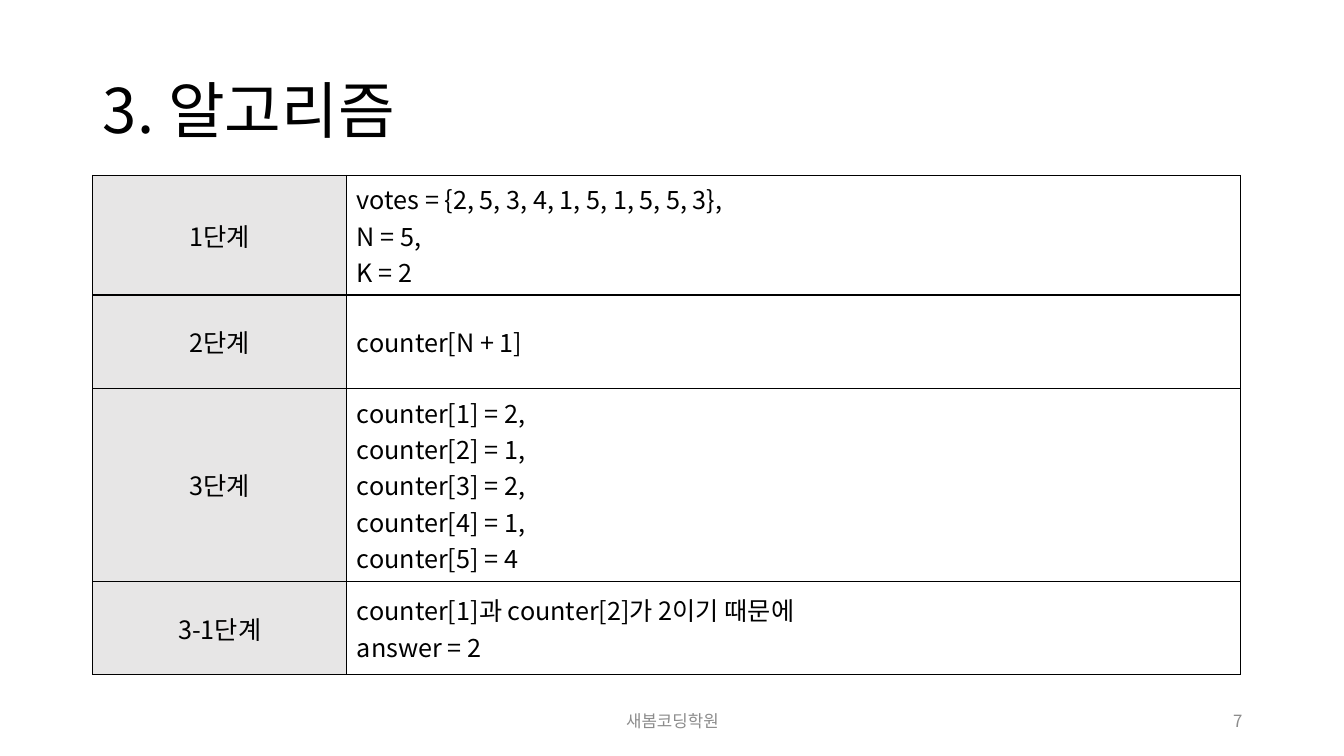
"""Build the algorithm steps slide."""
from dataclasses import dataclass

from lxml.etree import SubElement
from pptx import Presentation
from pptx.dml.color import RGBColor
from pptx.enum.text import MSO_ANCHOR, MSO_AUTO_SIZE, PP_ALIGN
from pptx.oxml.ns import qn
from pptx.util import Inches, Pt

FONT = "Noto Sans CJK KR"
BLACK, GRAY, LABEL_FILL = "000000", "8C8C8C", "E7E6E6"


@dataclass
class Step:
    label: str
    lines: list[str]
    height: float


@dataclass
class Note:
    text: str
    left: float
    width: float
    align: PP_ALIGN


STEPS = [
    Step("1단계", ["votes = {2, 5, 3, 4, 1, 5, 1, 5, 5, 3},", "N = 5,", "K = 2"], 0.8),
    Step("2단계", ["counter[N + 1]"], 0.93),
    Step("3단계", [f"counter[{i}] = {n}" + ("," if i < 5 else "")
                 for i, n in enumerate([2, 1, 2, 1, 4], 1)], 0.93),
    Step("3-1단계", ["counter[1]과 counter[2]가 2이기 때문에", "answer = 2"], 0.93),
]
NOTES = [
    Note("새봄코딩학원", 4.42, 4.5, PP_ALIGN.CENTER),
    Note("7", 9.42, 3, PP_ALIGN.RIGHT),
]
COLUMNS = [2.52, 8.86]


def rgb(color: str) -> RGBColor:
    return RGBColor.from_string(color)


def apply(target, values: dict) -> None:
    for name, value in values.items():
        setattr(target, name, value)


def write(tf, lines: list[str], size: float, color: str = BLACK,
          align: PP_ALIGN = PP_ALIGN.LEFT, spacing: float = 1.0) -> None:
    apply(tf, {"word_wrap": True, "vertical_anchor": MSO_ANCHOR.MIDDLE})
    for i, line in enumerate(lines):
        p = tf.paragraphs[0] if i == 0 else tf.add_paragraph()
        apply(p, {"alignment": align, "line_spacing": spacing})
        r = p.add_run()
        r.text = line
        apply(r.font, {"size": Pt(size), "name": FONT})
        r.font.color.rgb = rgb(color)
        SubElement(r.font._element, qn("a:ea"), typeface=FONT)


def add_borders(cell) -> None:
    tc_pr = cell._tc.get_or_add_tcPr()
    for side in ("lnL", "lnR", "lnT", "lnB"):
        ln = SubElement(tc_pr, qn(f"a:{side}"), w=str(Pt(1)))
        fill = SubElement(ln, qn("a:solidFill"))
        SubElement(fill, qn("a:srgbClr"), val=BLACK)


def fill_cell(cell, lines: list[str], align: PP_ALIGN, fill: str | None = None) -> None:
    write(cell.text_frame, lines, 18, align=align)
    cell.vertical_anchor = MSO_ANCHOR.MIDDLE
    add_borders(cell)
    if fill:
        cell.fill.solid()
        cell.fill.fore_color.rgb = rgb(fill)
    else:
        cell.fill.background()


def add_steps(s, steps: list[Step]) -> None:
    sp = s.shapes.add_table(len(steps), len(COLUMNS), Inches(0.92), Inches(1.74),
                            Inches(sum(COLUMNS)), Inches(4.45))
    table = sp.table
    apply(table, {"first_row": False, "horz_banding": False})
    for column, width in zip(table.columns, COLUMNS):
        column.width = Inches(width)
    for row, step in zip(table.rows, steps):
        row.height = Inches(step.height)
        label, content = row.cells
        fill_cell(label, [step.label], PP_ALIGN.CENTER, LABEL_FILL)
        fill_cell(content, step.lines, PP_ALIGN.LEFT)


def add_note(s, note: Note) -> None:
    sp = s.shapes.add_textbox(Inches(note.left), Inches(6.95),
                              Inches(note.width), Inches(0.4))
    write(sp.text_frame, [note.text], 12, GRAY, note.align)


def main() -> None:
    prs = Presentation()
    apply(prs, {"slide_width": Inches(13.33), "slide_height": Inches(7.5)})
    s = prs.slides.add_slide(prs.slide_layouts[5])
    title = s.shapes.title
    apply(title, {"left": Inches(0.92), "top": Inches(0.4),
                  "width": Inches(11.5), "height": Inches(1.45)})
    title.text_frame.auto_size = MSO_AUTO_SIZE.NONE
    write(title.text_frame, ["3. 알고리즘"], 44, spacing=0.9)
    add_steps(s, STEPS)
    for note in NOTES:
        add_note(s, note)
    prs.save("out.pptx")


main()
